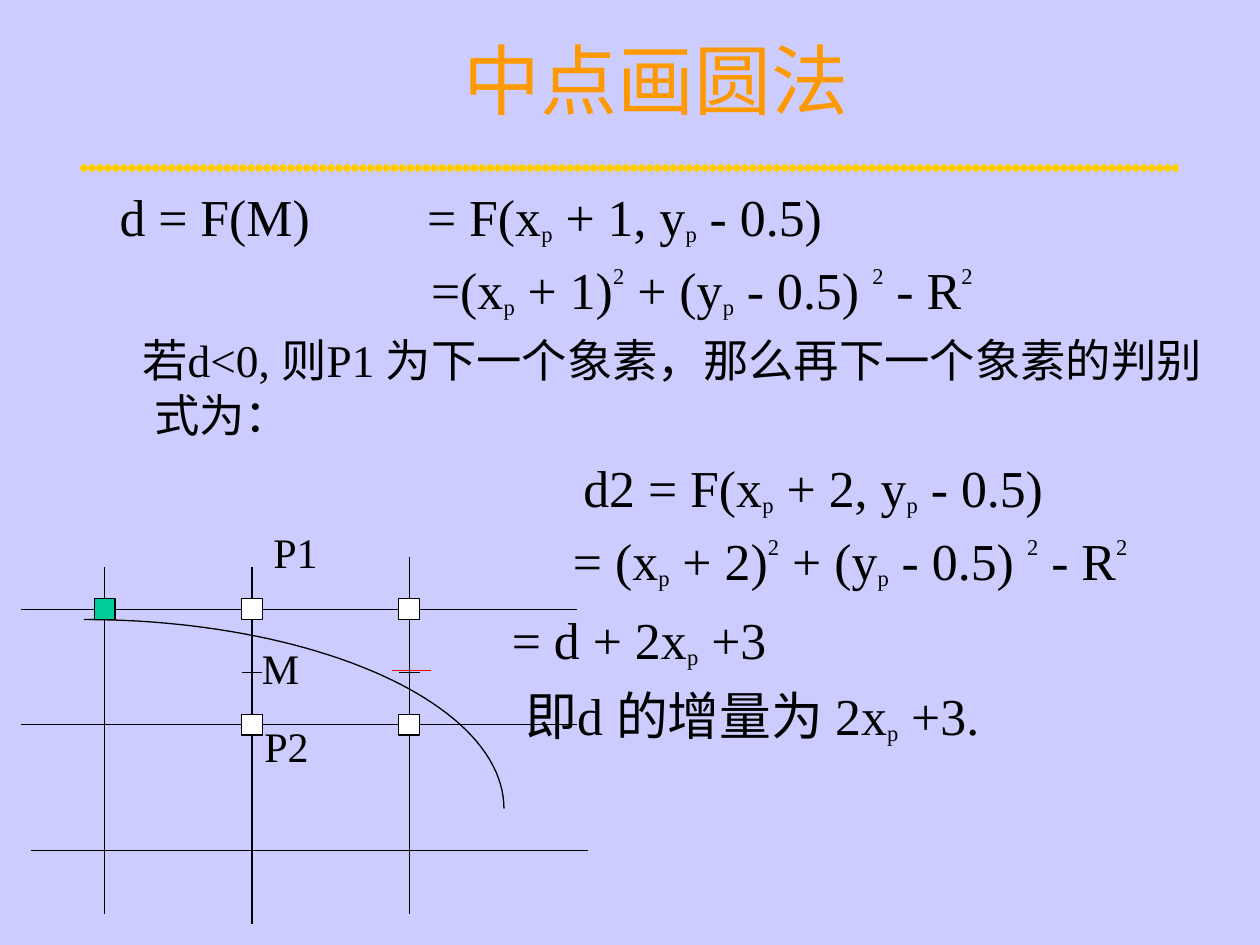
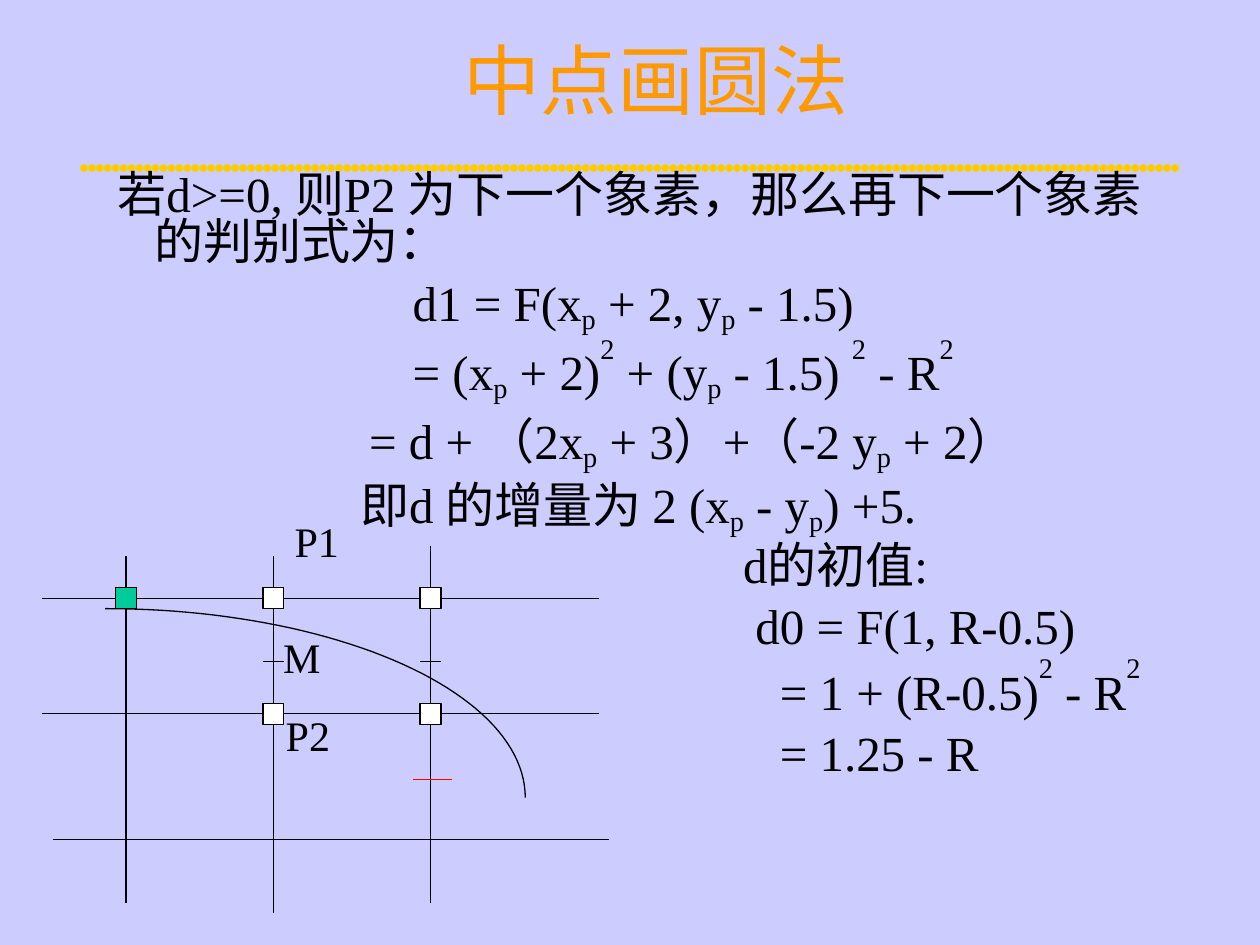
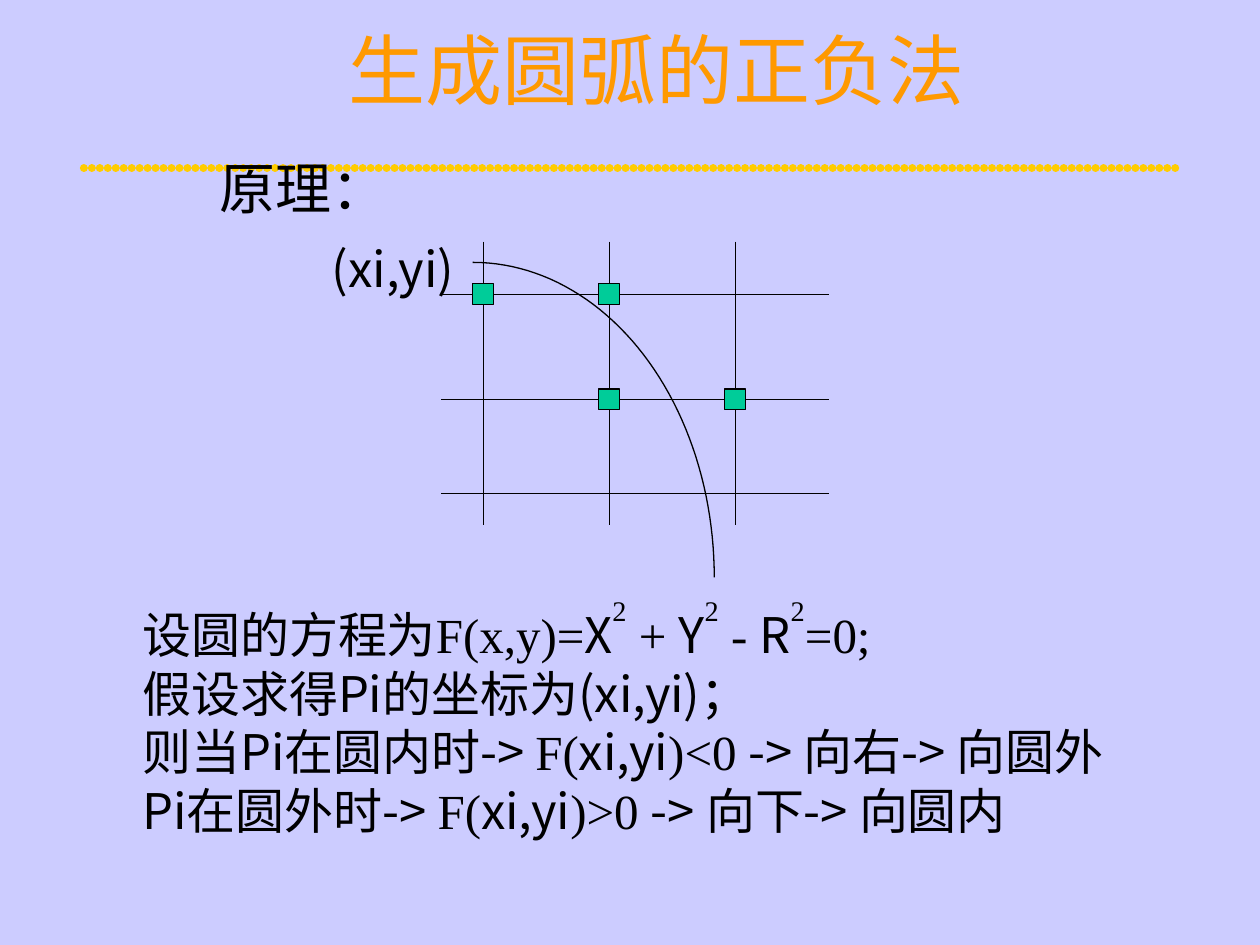
"""Build three slides on drawing circles with midpoint and sign methods."""
from itertools import groupby
from math import cos, pi, sin

from lxml.etree import SubElement
from pptx import Presentation
from pptx.dml.color import RGBColor
from pptx.enum.shapes import MSO_CONNECTOR, MSO_SHAPE
from pptx.enum.text import MSO_ANCHOR, PP_ALIGN
from pptx.oxml.ns import qn
from pptx.util import Cm, Pt

LINE = MSO_CONNECTOR.STRAIGHT
RECT = MSO_SHAPE.RECTANGLE
MIDDLE = MSO_ANCHOR.MIDDLE
CENTER = PP_ALIGN.CENTER

COLORS = {
    "back": "CCCCFF",
    "title": "FF9900",
    "rule": "FFCC00",
    "ink": "000000",
    "on": "00CC99",
    "off": "FFFFFF",
    "mark": "FF0000",
}
SERIF = "Times New Roman"
SANS = "Noto Sans CJK SC"
SHIFT = {"_": "-16000", "^": "64000"}
CELL = 0.42
STEPS = 48
HANG = 0.96

MID_HEAD = [(0.26, 0, 0, 29.6, "d = F(M)")]
MID_BODY = [
    (6.46, 0, 0, 29.6, "= F(x_p + 1, y_p - 0.5)"),
    (6.54, 0, 6, 29.6, "=(x_p + 1)^2 + (y_p - 0.5) ^2 - R^2"),
    (HANG, -0.24, 7, 25.9, "若d<0, 则P1 为下一个象素，那么再下一个象素的判别式为："),
    (9.61, 0, 8, 29.6, "d2 = F(x_p + 2, y_p - 0.5)"),
    (9.4, 0, 6, 29.6, "= (x_p + 2)^2 + (y_p - 0.5) ^2 - R^2"),
    (8.17, 0, 9.5, 29.6, "= d + 2x_p +3"),
    (8.44, 0, 8, 29.6, "即d 的增量为 2x_p +3."),
]
NEXT_BODY = [
    (HANG, -0.74, 0, 28, "若d>=0, 则P2 为下一个象素，那么再下一个象素的判别式为："),
    (6.17, 0, 7, 28, "d1 = F(x_p + 2, y_p - 1.5)"),
    (6.17, 0, 7, 28, "= (x_p + 2)^2 + (y_p - 1.5) ^2 - R^2"),
    (5.29, 0, 10.2, 28, "= d + （2x_p + 3）+（-2 y_p + 2）"),
    (5.11, 0, 8, 28, "即d 的增量为 2 (x_p - y_p) +5."),
    (12.83, 0, 7, 28, "d的初值:"),
    (13.08, 0, 7.5, 28, "d0 = F(1, R-0.5)"),
    (13.57, 0, 7, 28, "= 1 + (R-0.5)^2 - R^2"),
    (13.57, 0, 7, 28, "= 1.25 - R"),
]
SIGN_HEAD = [
    (2.28, 0, 0, 32, "原理："),
    (4.54, 0, 10, 28, "~(xi,yi)"),
]
SIGN_BODY = [(0, 0, 0, 28, text) for text in (
    "设圆的方程为F(x,y)=~X~^2 + ~Y~^2 - ~R~^2=0;",
    "假设求得~Pi的坐标为(xi,yi)；",
    "则当~Pi在圆内时-> ~F(~xi,yi~)<0 ~-> 向右-> 向圆外",
    "~Pi在圆外时-> ~F(~xi,yi~)>0 ~-> 向下-> 向圆内",
)]


def tint(name):
    """Return a palette colour."""
    return RGBColor.from_string(COLORS[name])


def parse(text):
    """Yield each character with its font switch (~) and shift mark (_ or ^)."""
    sans, mark = False, ""
    for char in text:
        if char == "~":
            sans = not sans
        elif char in SHIFT:
            mark = char
        else:
            yield char, (sans, mark)
            mark = ""


def style(para, size, color="ink"):
    """Set the common font of a paragraph."""
    font = para.font
    font.size, font.name = Pt(size), SERIF
    font.color.rgb = tint(color)
    props = para._p.get_or_add_pPr().find(qn("a:defRPr"))
    SubElement(props, qn("a:ea")).set("typeface", SANS)


def fill(para, text, small=None):
    """Write marked-up text as runs, with an own size for shifted ones."""
    for (sans, mark), group in groupby(parse(text), key=lambda item: item[1]):
        run = para.add_run()
        run.text = "".join(char for char, _ in group)
        if sans:
            run.font.name = SANS
        if mark:
            run._r.get_or_add_rPr().set("baseline", SHIFT[mark])
            if small:
                run.font.size = Pt(small)


def panel(slide, box, wrap=True):
    """Add an empty text frame in a box."""
    frame = slide.shapes.add_textbox(*map(Cm, box)).text_frame
    frame.word_wrap = wrap
    return frame


def body(slide, box, lines, space=None, small=None):
    """Write indented lines in a box."""
    frame = panel(slide, box)
    for num, (left, first, gap, size, text) in enumerate(lines):
        para = frame.add_paragraph() if num else frame.paragraphs[0]
        props = para._p.get_or_add_pPr()
        props.set("marL", str(Cm(left)))
        props.set("indent", str(Cm(first)))
        para.space_before = Pt(gap)
        if space:
            para.line_spacing = space
        style(para, size)
        fill(para, text, small)


def label(slide, left, top, width, text):
    """Add a short name to the diagram."""
    para = panel(slide, (left, top, width, 1.27), False).paragraphs[0]
    style(para, 24)
    fill(para, text)


def stroke(slide, x, y, wide=0, high=0, color="ink", weight=0.75):
    """Draw a straight line from a point."""
    line = slide.shapes.add_connector(
        LINE, Cm(x), Cm(y), Cm(x + wide), Cm(y + high))
    line.line.color.rgb = tint(color)
    line.line.width = Pt(weight)
    SubElement(line._element.spPr, qn("a:effectLst"))
    return line


def outline(shape):
    """Give a shape the thin dark line and no shadow."""
    shape.shadow.inherit = False
    shape.line.color.rgb = tint("ink")
    shape.line.width = Pt(0.75)


def cell(slide, x, y, color):
    """Draw a pixel centred on a point."""
    half = CELL / 2
    shape = slide.shapes.add_shape(
        RECT, Cm(x - half), Cm(y - half), Cm(CELL), Cm(CELL))
    shape.fill.solid()
    shape.fill.fore_color.rgb = tint(color)
    outline(shape)


def arc(slide, x, y, wide, high):
    """Draw a quarter ellipse from top left to bottom right."""
    turns = [pi / 2 * step / STEPS for step in range(STEPS + 1)]
    points = [(Cm(x + wide * sin(a)), Cm(y + high * (1 - cos(a))))
              for a in turns]
    path = slide.shapes.build_freeform(*points[0])
    path.add_line_segments(points[1:], close=False)
    shape = path.convert_to_shape()
    shape.fill.background()
    outline(shape)


def mesh(slide, left, top, rows, cols):
    """Draw grid lines given as x, y and length from the corner."""
    for x, y, size in rows:
        stroke(slide, left + x, top + y, wide=size)
    for x, y, size in cols:
        stroke(slide, left + x, top + y, high=size)


def midpoint(slide, left, top, mark):
    """Draw the midpoint diagram with its red mark at a given depth."""
    rows = [(0, 1.06, 11.22), (0, 3.39, 11.22), (0.21, 5.93, 11.22)]
    cols = [(1.69, 0.21, 6.99), (4.66, 0.21, 7.2), (7.83, 0, 7.2)]
    mesh(slide, left, top, rows, cols)
    arc(slide, left + 1.27, top + 1.27, 8.47, 3.81)
    for x, _, _ in cols[1:]:
        stroke(slide, left + x - CELL / 2, top + 2.33, wide=CELL)
        for _, y, _ in rows[:2]:
            cell(slide, left + x, top + y, "off")
    cell(slide, left + cols[0][0], top + rows[0][1], "on")
    label(slide, left + 4.61, top + 1.61, 1.24, "M")
    label(slide, left + 4.84, top - 0.73, 1.4, "P1")
    label(slide, left + 4.66, top + 3.18, 1.4, "P2")
    stroke(slide, left + 7.48, top + mark, wide=0.79, color="mark")


def signs(slide, left, top):
    """Draw the sign method diagram."""
    rows = [(0, y, 7.83) for y in (1.06, 3.18, 5.08)]
    cols = [(0.85 + 2.54 * num, 0, 5.72) for num in range(3)]
    mesh(slide, left, top, rows, cols)
    arc(slide, left + 0.64, top + 0.42, 4.87, 6.35)
    for col, row in ((0, 0), (1, 0), (1, 1), (2, 1)):
        cell(slide, left + cols[col][0], top + rows[row][1], "on")


def start(deck, title, high=3.18):
    """Add a slide with its beaded rule and title."""
    slide = deck.slides.add_slide(deck.slide_layouts[6])
    rule = stroke(slide, 1.69, 3.39, wide=22.01, color="rule", weight=4.5)
    edge = rule.line._get_or_add_ln()
    edge.set("cap", "rnd")
    bead = SubElement(SubElement(edge, qn("a:custDash")), qn("a:ds"))
    bead.set("d", "100000")
    bead.set("sp", "1000")
    frame = panel(slide, (3.18, 0, 20.11, high))
    frame.vertical_anchor = MIDDLE
    para = frame.paragraphs[0]
    para.alignment = CENTER
    style(para, 44, "title")
    fill(para, title)
    return slide


def main():
    """Build and save the deck."""
    deck = Presentation()
    deck.slide_width, deck.slide_height = Cm(25.4), Cm(19.05)
    back = deck.slide_master.background.fill
    back.solid()
    back.fore_color.rgb = tint("back")

    slide = start(deck, "中点画圆法")
    body(slide, (1.9, 3.6, 6, 1.5), MID_HEAD)
    body(slide, (1.9, 3.6, 23.07, 13.34), MID_BODY, small=22.2)
    midpoint(slide, 0.42, 11.22, 2.29)

    slide = start(deck, "中点画圆法")
    body(slide, (1.9, 3.4, 21.59, 13.55), NEXT_BODY, space=0.8)
    midpoint(slide, 0.85, 11, 4.72)

    slide = start(deck, "生成圆弧的正负法", 2.76)
    body(slide, (1.9, 2.98, 21.59, 14.61), SIGN_HEAD)
    signs(slide, 8.89, 4.87)
    body(slide, (2.62, 11.84, 22.7, 6.2), SIGN_BODY)

    deck.save("out.pptx")


if __name__ == "__main__":
    main()
